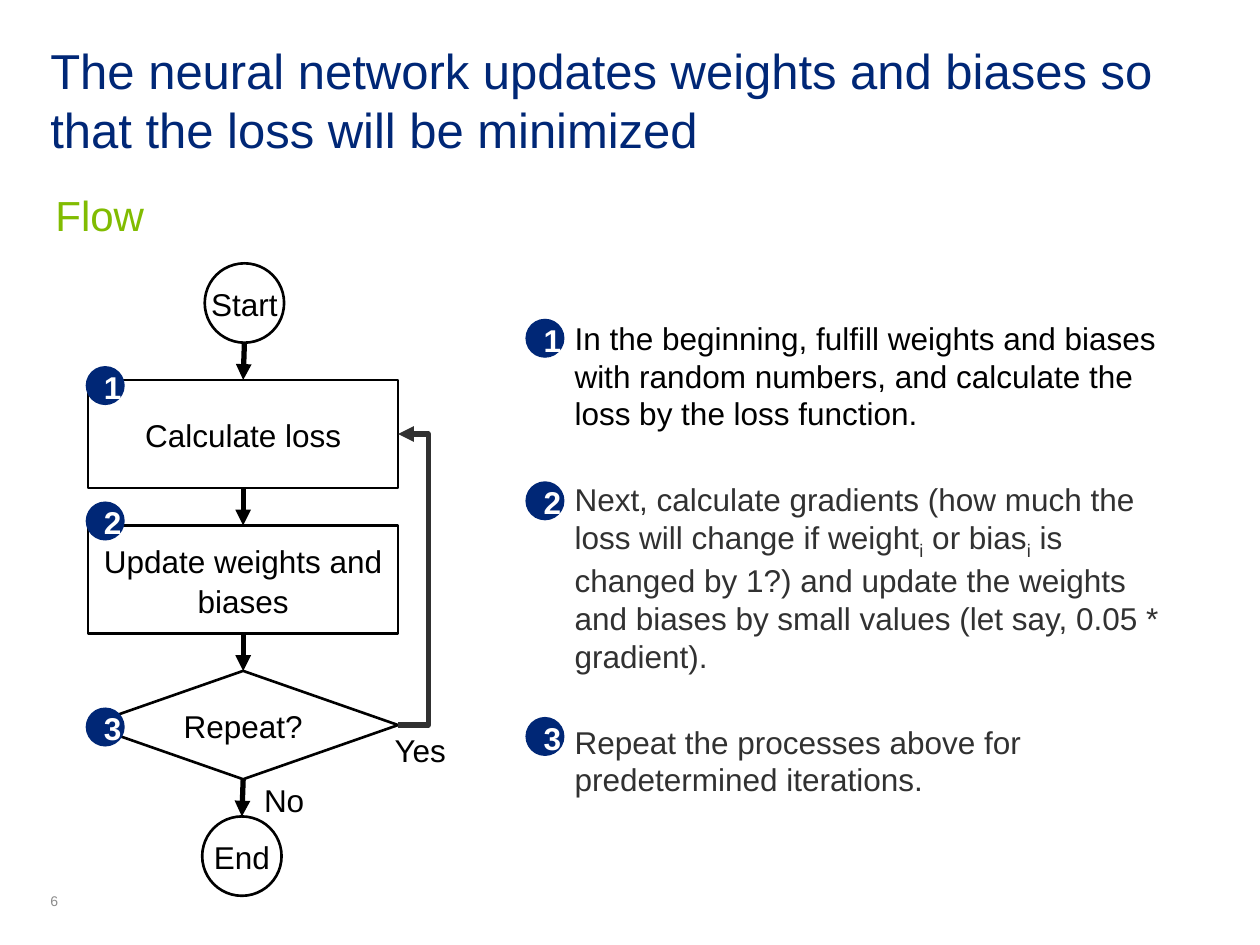
import pptx
import pptx.util
import pptx.dml.color
import pptx.enum.shapes
import pptx.enum.text
import pptx.oxml
import pptx.oxml.ns

Inches = pptx.util.Inches
SHAPES = pptx.enum.shapes.MSO_SHAPE
LINKS = pptx.enum.shapes.MSO_CONNECTOR
ANCHOR = pptx.enum.text.MSO_ANCHOR
ALIGN = pptx.enum.text.PP_ALIGN
COLORS = {"navy": "002776", "green": "81BC01", "black": "000000",
          "charcoal": "313131", "gray": "8C8C8C", "white": "FFFFFF"}
WIDTH, HEIGHT = 10, 7.5
MARGIN = 0.4
BADGE = 0.31
DRAWING = pptx.oxml.ns.nsdecls("a")


def color(name):
    """Return the named colour."""
    return pptx.dml.color.RGBColor.from_string(COLORS[name])


def write(shape, text, size=18, ink="black", bold=False, align=ALIGN.LEFT,
          anchor=ANCHOR.TOP, inset=0, spacing=None, before=0, wrap=True):
    """Add a paragraph, with the parts between bars as subscripts."""
    frame = shape.text_frame
    frame.word_wrap = wrap
    frame.auto_size = pptx.enum.text.MSO_AUTO_SIZE.NONE
    frame.vertical_anchor = anchor
    frame.margin_left = frame.margin_right = Inches(inset)
    frame.margin_top = frame.margin_bottom = Inches(inset)
    paragraph = frame.add_paragraph() if frame.text else frame.paragraphs[0]
    paragraph.alignment = align
    paragraph.space_before = pptx.util.Pt(before)
    if spacing:
        paragraph.line_spacing = spacing
    for index, piece in enumerate(text.split("|")):
        run = paragraph.add_run()
        run.text = piece
        run.font.name = "Arial"
        run.font.size = pptx.util.Pt(size)
        run.font.bold = bold
        run.font.color.rgb = color(ink)
        if index % 2:
            run._r.get_or_add_rPr().set("baseline", "-25000")
    return paragraph


def place(shape, box):
    """Move a shape to a box given in inches."""
    shape.left, shape.top, shape.width, shape.height = map(Inches, box)


def add_label(slide, box, text, **text_format):
    """Add a text box."""
    label = slide.shapes.add_textbox(*map(Inches, box))
    write(label, text, **text_format)
    return label


def add_node(slide, kind, box, text, fill=None, outline=True, **text_format):
    """Add a shape with centred text."""
    node = slide.shapes.add_shape(kind, *map(Inches, box))
    node.shadow.inherit = False
    if fill:
        node.fill.solid()
        node.fill.fore_color.rgb = color(fill)
    else:
        node.fill.background()
    if outline:
        node.line.color.rgb = color("black")
        node.line.width = pptx.util.Pt(1.5)
    else:
        node.line.fill.background()
    write(node, text, align=ALIGN.CENTER, anchor=ANCHOR.MIDDLE, inset=0.1,
          spacing=1.06, **text_format)
    return node


def add_badge(slide, left, top, number):
    """Add a numbered disc."""
    add_node(slide, SHAPES.OVAL, (left, top, BADGE, BADGE), str(number),
             fill="navy", outline=False, ink="white", bold=True)


def add_arrow(slide, kind, start, end, ink="black"):
    """Add an arrow from point to point."""
    arrow = slide.shapes.add_connector(kind, *map(Inches, (*start, *end)))
    arrow.line.color.rgb = color(ink)
    arrow.line.width = pptx.util.Pt(3)
    arrow.line._get_or_add_ln().append(
        pptx.oxml.parse_xml(f'<a:tailEnd {DRAWING} type="triangle"/>'))
    arrow._element.spPr.append(pptx.oxml.parse_xml(f"<a:effectLst {DRAWING}/>"))
    return arrow


def add_loop(slide, origin, target, reach):
    """Lead back from the right of one node to the right of a higher one."""
    loop = add_arrow(slide, LINKS.ELBOW, (0, HEIGHT), (WIDTH, 0), "charcoal")
    loop.begin_connect(origin, 3)
    loop.end_connect(target, 3)
    loop.width = pptx.util.Emu(814)
    bend = round(Inches(reach) / loop.width * 100000)
    geometry = loop._element.spPr.find(pptx.oxml.ns.qn("a:prstGeom"))
    guides = geometry.get_or_add_avLst()
    guides.append(pptx.oxml.parse_xml(
        f'<a:gd {DRAWING} name="adj1" fmla="val {bend}"/>'))


def add_flow(slide, left, top, width, height):
    """Stack the flow chart in its box, with equal gaps."""
    disc, step = 0.63, 0.86
    gap = (height - 2 * disc - 3 * step) / 4
    middle = left + width / 2
    tops = [top + disc + gap + row * (step + gap) for row in range(3)]
    end_top = top + height - disc
    kinds = (SHAPES.RECTANGLE, SHAPES.RECTANGLE, SHAPES.DIAMOND)
    texts = ("Calculate loss", "Update weights and biases", "Repeat?")
    fills = (None, None, "white")
    steps = [add_node(slide, kind, (left, y, width, step), text, fill)
             for kind, y, text, fill in zip(kinds, tops, texts, fills)]
    for y, text, shift in ((top, "Start", 0.01), (end_top, "End", -0.01)):
        add_node(slide, SHAPES.OVAL, (middle - disc / 2 + shift, y, disc, disc),
                 text, "white", wrap=False)
    entry = add_arrow(slide, LINKS.STRAIGHT, (middle + 0.01, top + disc), (middle, tops[0]))
    entry.end_connect(steps[0], 0)
    for upper, lower in zip(steps, steps[1:]):
        arrow = add_arrow(slide, LINKS.STRAIGHT, (middle, top), (middle, end_top))
        arrow.begin_connect(upper, 2)
        arrow.end_connect(lower, 0)
    leave = add_arrow(slide, LINKS.STRAIGHT, (middle, end_top - gap), (middle - 0.01, end_top))
    leave.begin_connect(steps[2], 2)
    add_loop(slide, steps[2], steps[0], 0.27)
    for x, y, text in ((left + 2.19, tops[2] + 0.48, "Yes"),
                       (left + 1.11, tops[2] + 0.87, "No")):
        add_label(slide, (x, y, 0.89, 0.3), text, align=ALIGN.CENTER)
    for number, (y, shift) in enumerate(zip(tops, (-0.11, -0.19, 0.29)), 1):
        add_badge(slide, left - 0.02, y + shift, number)


def add_explanation(slide, left, top, width, height):
    """Fill the body with the three numbered explanations."""
    body = slide.placeholders[1]
    place(body, (left, top, width, height))
    items = (
        ("In the beginning, fulfill weights and biases with random numbers, "
         "and calculate the loss by the loss function.", "black", 0),
        ("Next, calculate gradients (how much the loss will change if "
         "weight|i| or bias|i| is changed by 1?) and update the weights and "
         "biases by small values (let say, 0.05 * gradient).", "charcoal", 1.29),
        ("Repeat the processes above for predetermined iterations.",
         "charcoal", 3.16))
    for number, (text, ink, offset) in enumerate(items, 1):
        paragraph = write(body, text, ink=ink, before=27.5 if offset else 0)
        properties = paragraph._p.get_or_add_pPr()
        properties.set("marL", str(Inches(BADGE)))
        properties.set("indent", "0")
        properties.append(pptx.oxml.parse_xml(f"<a:buNone {DRAWING}/>"))
        add_badge(slide, left - 0.08, top + offset, number)


def add_heading(slide, left, top, width, height):
    """Set the title and the subtitle below it."""
    place(slide.shapes.title, (left, top, width, height))
    write(slide.shapes.title, "The neural network updates weights and biases "
          "so that the loss will be minimized", size=28, ink="navy")
    add_label(slide, (left + 0.04, top + 1.18, width - 0.2, 0.35), "Flow",
              size=24, ink="green")


def main():
    """Build and save the slide."""
    presentation = pptx.Presentation()
    presentation.slide_width, presentation.slide_height = Inches(WIDTH), Inches(HEIGHT)
    slide = presentation.slides.add_slide(presentation.slide_layouts[1])
    add_heading(slide, MARGIN, 0.32, WIDTH - 2 * MARGIN, 0.51)
    add_flow(slide, 0.7, 2.09, 2.46, 5.02)
    add_explanation(slide, 4.25, 2.53, 5.17, 3.8)
    add_label(slide, (MARGIN, 7.09, 0.5, 0.13), "6", size=8, ink="gray",
              anchor=ANCHOR.BOTTOM)
    presentation.save("out.pptx")


if __name__ == "__main__":
    main()
